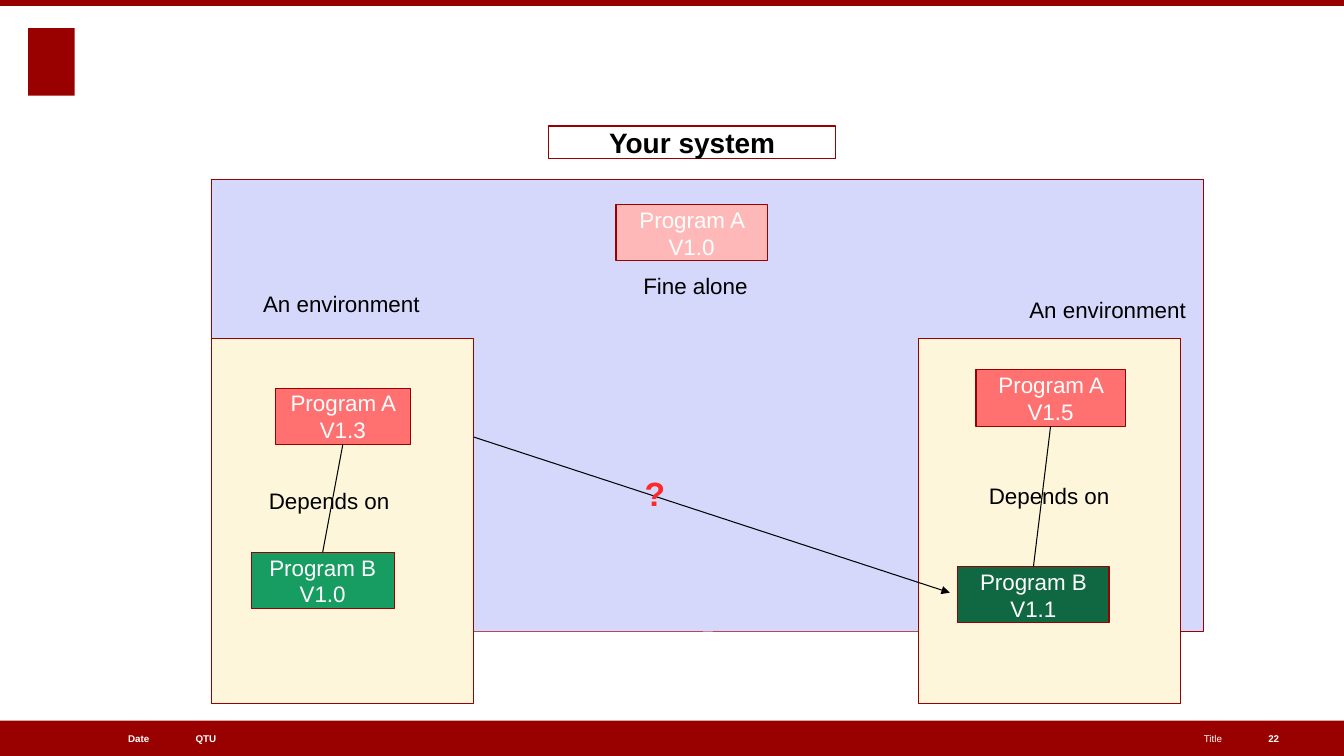
from dataclasses import dataclass

import pptx
import pptx.dml.color
import pptx.enum.shapes
import pptx.enum.text
import pptx.oxml
import pptx.oxml.ns
import pptx.util

Inches = pptx.util.Inches
Pt = pptx.util.Pt
Shapes = pptx.enum.shapes.MSO_SHAPE
Align = pptx.enum.text.PP_ALIGN
Anchor = pptx.enum.text.MSO_ANCHOR
AutoSize = pptx.enum.text.MSO_AUTO_SIZE


@dataclass(frozen=True)
class Theme:
    font: str = "Arial"
    red: str = "990000"
    system: str = "D5D8FB"
    environment: str = "FDF6DB"
    program_a_old: str = "FFB8B8"
    program_a: str = "FF7070"
    program_b_old: str = "179C61"
    program_b_new: str = "0F6841"
    question: str = "FF2929"
    white: str = "FFFFFF"
    black: str = "000000"
    footer_size: float = 7
    body_size: float = 16
    title_size: float = 20
    question_size: float = 24
    line_width: float = 0.75
    space_before: float = 4.3


theme = Theme()
rgb = pptx.dml.color.RGBColor.from_string


def write(shape, text, size=theme.body_size, color=theme.black, bold=False, align=Align.CENTER,
          anchor=Anchor.MIDDLE, insets=(0.1, 0.05), before=theme.space_before,
          wrap=True, auto_size=AutoSize.NONE):
    """Put one formatted paragraph into a shape; insets are horizontal, vertical."""
    frame = shape.text_frame
    frame.text = text
    frame.word_wrap = wrap
    frame.auto_size = auto_size
    frame.vertical_anchor = anchor
    frame.margin_left = frame.margin_right = Inches(insets[0])
    frame.margin_top = frame.margin_bottom = Inches(insets[1])
    paragraph = frame.paragraphs[0]
    paragraph.alignment = align
    paragraph.space_before = Pt(before)
    font = paragraph.runs[0].font
    font.name = theme.font
    font.size = Pt(size)
    font.bold = bold
    font.color.rgb = rgb(color)


def add_box(place, fill=None, line=theme.red, kind=Shapes.RECTANGLE):
    shape = slide.shapes.add_shape(kind, *map(Inches, place))
    shape.shadow.inherit = False
    if fill:
        shape.fill.solid()
        shape.fill.fore_color.rgb = rgb(fill)
    else:
        shape.fill.background()
    if line:
        shape.line.color.rgb = rgb(line)
        shape.line.width = Pt(theme.line_width)
    else:
        shape.line.fill.background()
    return shape


presentation = pptx.Presentation()
presentation.slide_width = Inches(13.33)
presentation.slide_height = Inches(7.5)
slide = presentation.slides.add_slide(presentation.slide_layouts[5])

# Title with a rounded frame
title = slide.shapes.title
title.left, title.top, title.width, title.height = map(Inches, (5.44, 1.25, 2.85, 0.32))
title.element.spPr.append(pptx.oxml.parse_xml(
    f'<a:prstGeom {pptx.oxml.ns.nsdecls("a")} prst="roundRect"><a:avLst/></a:prstGeom>'))
title.line.color.rgb = rgb(theme.red)
title.line.width = Pt(theme.line_width)
write(title, "Your system", size=theme.title_size, bold=True)

# Emblem block, top band and footer
footer_top, footer_height = 7.15, 0.35
for place in ((0.28, 0.28, 0.46, 0.67), (0, footer_top, 13.33, footer_height), (0, 0, 13.33, 0.06)):
    add_box(place, fill=theme.red, line=None)

for text, left, width, align, bold in (
    ("QTU", 1.94, 3.72, Align.LEFT, True),
    ("Date", 0.27, 1.21, Align.RIGHT, True),
    ("Title", 6.11, 6.01, Align.RIGHT, False),
    ("22", 12.58, 0.47, Align.LEFT, True),
):
    footer = slide.shapes.add_textbox(*map(Inches, (left, footer_top, width, footer_height)))
    write(footer, text, size=theme.footer_size, color=theme.white, bold=bold,
          align=align, insets=(0, 0), before=0)

# System and environments; the left environment covers the start of the arrow
add_box((2.1, 1.78, 9.84, 4.49), fill=theme.system)
add_box((9.11, 3.36, 2.6, 3.62), fill=theme.environment)
straight = pptx.enum.shapes.MSO_CONNECTOR.STRAIGHT
question_arrow = slide.shapes.add_connector(straight, *map(Inches, (4.07, 4.13, 9.42, 5.88)))
add_box((2.1, 3.36, 2.6, 3.62), fill=theme.environment)

# Programs
programs = {}
for name, left, top, width, fill in (
    ("Program A V1.0", 6.11, 2.03, 1.5, theme.program_a_old),
    ("Program A V1.3", 2.73, 3.85, 1.34, theme.program_a),
    ("Program B V1.0", 2.49, 5.48, 1.42, theme.program_b_old),
    ("Program A V1.5", 9.68, 3.67, 1.48, theme.program_a),
    ("Program B V1.1", 9.5, 5.62, 1.5, theme.program_b_new),
):
    programs[name] = add_box((left, top, width, 0.56), fill=fill)
    write(programs[name], name, color=theme.white)

# Dependencies run from the top of B to the bottom of A
connectors = [question_arrow]
for program_b, program_a in (("Program B V1.0", "Program A V1.3"),
                             ("Program B V1.1", "Program A V1.5")):
    dependency = slide.shapes.add_connector(straight, 0, 0, 0, 0)
    dependency.begin_connect(programs[program_b], 0)
    dependency.end_connect(programs[program_a], 2)
    connectors.append(dependency)

for connector in connectors:
    connector.line.color.rgb = rgb(theme.black)
    connector.line.width = Pt(theme.line_width)
    connector.element.spPr.append(
        pptx.oxml.parse_xml(f'<a:effectLst {pptx.oxml.ns.nsdecls("a")}/>'))

for end in ("headEnd", "tailEnd"):
    question_arrow.line._get_or_add_ln().append(
        pptx.oxml.parse_xml(f'<a:{end} {pptx.oxml.ns.nsdecls("a")} type="triangle"/>'))

# Labels
for left, top in ((2.1, 4.82), (9.24, 4.77)):
    write(add_box((left, top, 2.33, 0.29), line=None, kind=Shapes.ROUNDED_RECTANGLE), "Depends on")

question_format = dict(size=theme.question_size, color=theme.question, bold=True)
left_aligned = dict(align=Align.LEFT)
unwrapped = dict(align=Align.LEFT, wrap=False)
for text, place, text_format in (
    ("Fine alone", (6.38, 2.7, 1.38, 0.27), left_aligned),
    ("?", (6.1, 4.69, 0.79, 0.4), question_format),
    ("An environment", (2.61, 2.88, 1.57, 0.27), unwrapped),
    ("An environment", (10.21, 2.94, 1.57, 0.27), unwrapped),
):
    label = slide.shapes.add_textbox(*map(Inches, place))
    write(label, text, anchor=Anchor.TOP, insets=(0, 0),
          auto_size=AutoSize.SHAPE_TO_FIT_TEXT, **text_format)

presentation.save("out.pptx")
